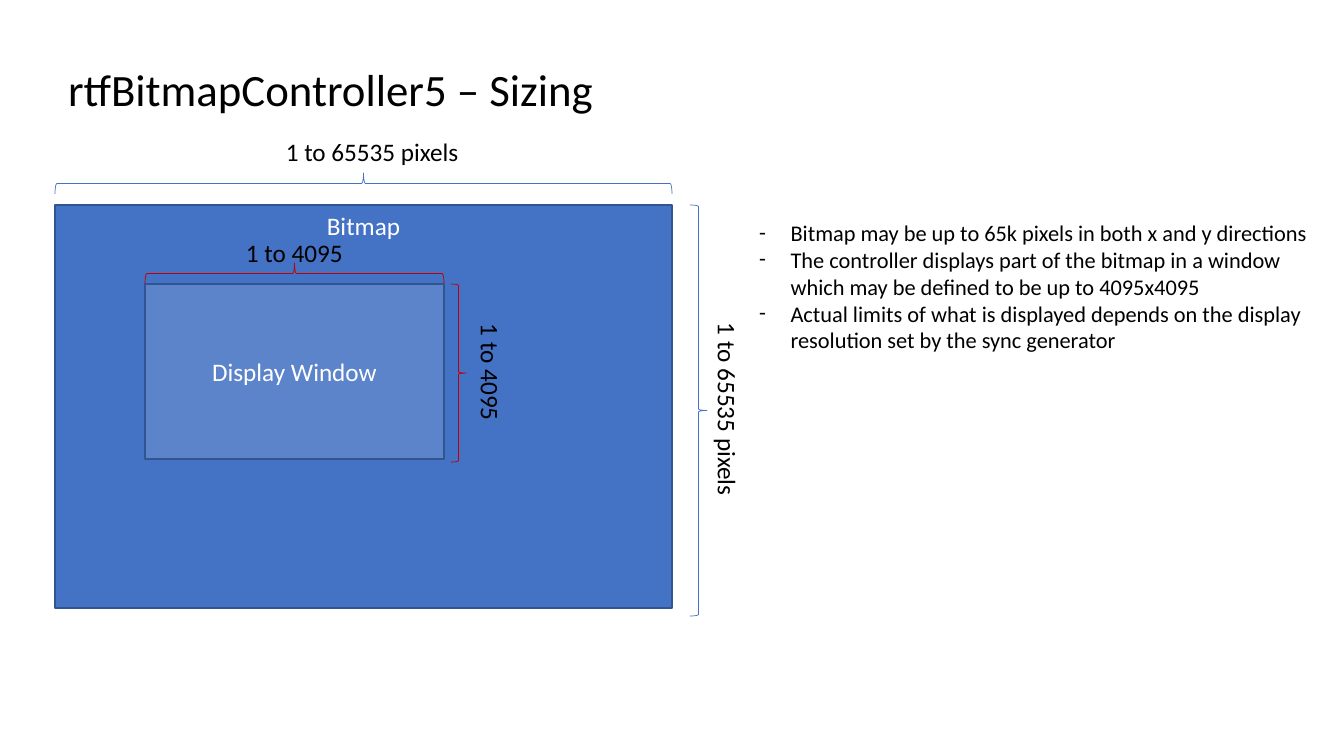
from pptx import Presentation
from pptx.dml.color import RGBColor
from pptx.enum.shapes import MSO_SHAPE as Kind
from pptx.enum.text import MSO_ANCHOR as Anchor, MSO_AUTO_SIZE as Auto, PP_ALIGN as Align
from pptx.util import Pt
from lxml.etree import SubElement

# Content: boxes are left, top, width, height in pixels, as seen on the slide
TITLE = "rtfBitmapController5 – Sizing"
NOTES = [
    "Bitmap may be up to 65k pixels in both x and y directions",
    "The controller displays part of the bitmap in a window "
    "which may be defined to be up to 4095x4095",
    "Actual limits of what is displayed depends on the display "
    "resolution set by the sync generator",
]
BLUE, EDGE, RED, PALE = "4472C4", "325491", "C00000", "8FAADC"
BLACK, WHITE = "000000", "FFFFFF"
RECTS = [  # text, box, fill, opacity in percent, anchor
    ("Bitmap", (55, 205, 617, 403), BLUE, 100, Anchor.TOP),
    ("Display Window", (145, 284, 299, 175), PALE, 32, Anchor.MIDDLE),
]
BRACES = [  # box, turn, colour
    ((690, 205, 17, 411), 180, BLUE),
    ((55, 173, 617, 21), 90, BLUE),
    ((451, 284, 15, 178), 180, RED),
    ((145, 263, 299, 21), 90, RED),
]
LABELS = [  # text, box, turn
    ("1 to 65535 pixels", (276, 131, 195, 40), 0),
    ("1 to 65535 pixels", (708, 313, 40, 195), 90),
    ("1 to 4095", (471, 314, 40, 118), 90),
    ("1 to 4095", (236, 232, 118, 40), 0),
]
SCALE = 914400 / 100.8


def px(*nums):
    return [round(n * SCALE) for n in nums]


def tint(code):
    return RGBColor.from_string(code)


def frame(box, turn=0):
    """Box before turning, for a part that fills box once turned."""
    x, y, w, h = box
    if turn == 90:
        x, y, w, h = x + (w - h) / 2, y + (h - w) / 2, h, w
    return px(x, y, w, h)


def place(shape, box):
    shape.left, shape.top, shape.width, shape.height = px(*box)


def write(para, text, size, color=BLACK, align=Align.LEFT):
    para.alignment = align
    run = para.add_run()
    run.text = text
    run.font.size, run.font.name = Pt(size), "Calibri"
    run.font.color.rgb = tint(color)


def draw(kind, box, line, width, turn=0):
    shape = slide.shapes.add_shape(kind, *frame(box, turn))
    shape.rotation = turn
    shape.shadow.inherit = False
    shape.line.color.rgb, shape.line.width = tint(line), Pt(width)
    return shape


deck = Presentation()
deck.slide_width, deck.slide_height = px(1344, 756)
slide = deck.slides.add_slide(deck.slide_layouts[1])

# Title
title = slide.shapes.title
place(title, (58, 56, 552, 65))
title.text_frame.word_wrap = False
title.text_frame.auto_size = Auto.NONE
write(title.text_frame.paragraphs[0], TITLE, 32)

# Dashed list
body = slide.placeholders[1]
place(body, (749, 214, 575, 146))
body.text_frame.auto_size = Auto.NONE
for i, note in enumerate(NOTES):
    para = body.text_frame.add_paragraph() if i else body.text_frame.paragraphs[0]
    write(para, note, 16)
    para.space_before = Pt(0)
    props = para._p.get_or_add_pPr()
    dent = px(31.5)[0]
    props.set("marL", str(dent))
    props.set("indent", str(-dent))
    space = props.tag.split("}")[0] + "}"
    SubElement(props, space + "buFont", typeface="Calibri")
    SubElement(props, space + "buChar", char="-")

# Bitmap and the window on it
for text, box, fill, alpha, anchor in RECTS:
    rect = draw(Kind.RECTANGLE, box, EDGE, 1)
    rect.fill.solid()
    rect.fill.fore_color.rgb = tint(fill)
    if alpha < 100:
        color = rect.fill._xPr.solidFill[0]
        SubElement(color, color.tag.replace("srgbClr", "alpha"), val=str(alpha * 1000))
    rect.text_frame.vertical_anchor = anchor
    write(rect.text_frame.paragraphs[0], text, 18, WHITE, Align.CENTER)

# Braces
for box, turn, color in BRACES:
    draw(Kind.LEFT_BRACE, box, color, 0.5, turn).fill.background()

# Size labels
for text, box, turn in LABELS:
    label = slide.shapes.add_textbox(*frame(box, turn))
    label.rotation = turn
    label.text_frame.word_wrap = False
    write(label.text_frame.paragraphs[0], text, 18)

deck.save("out.pptx")
